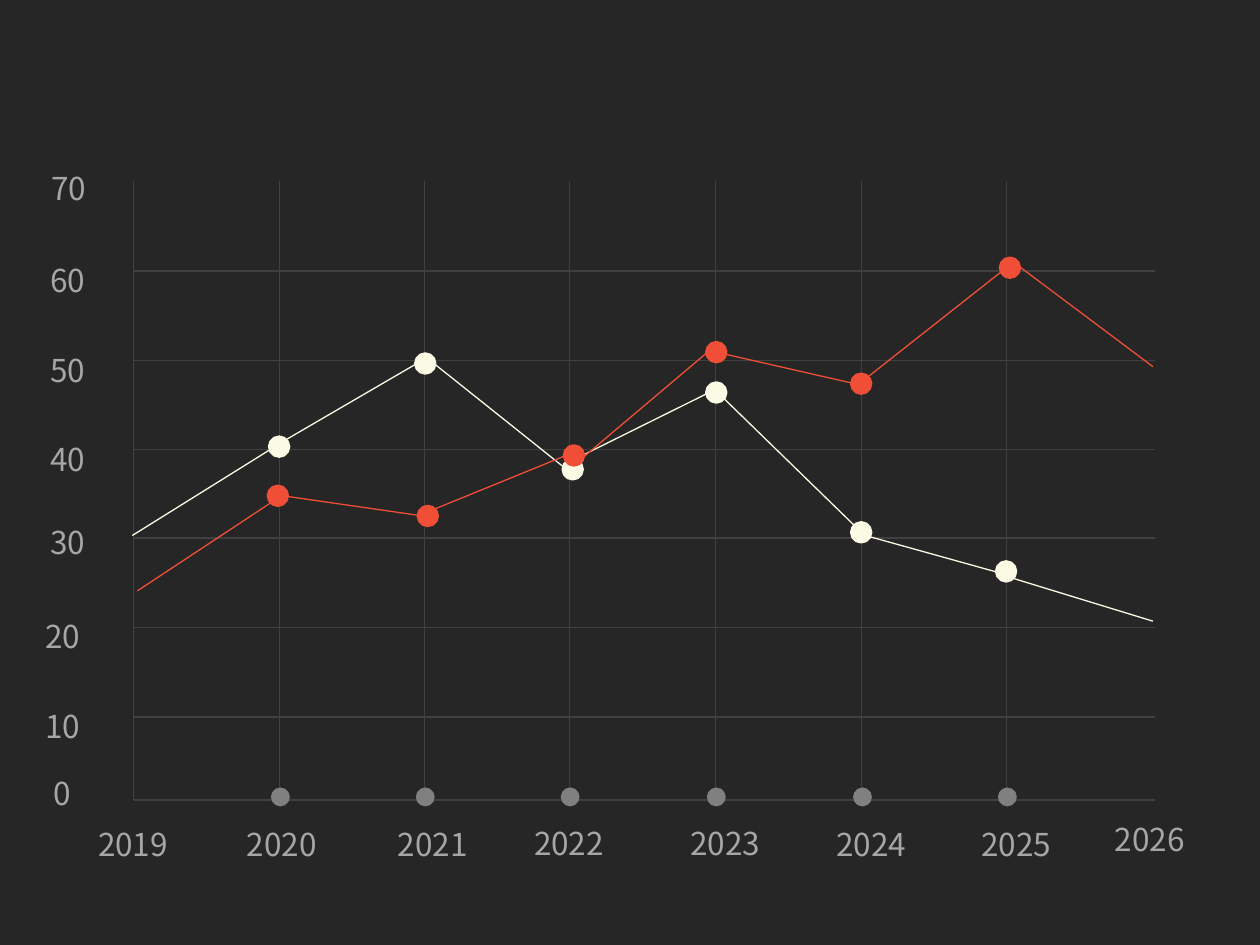
import pptx
import pptx.dml.color
import pptx.enum.shapes
import pptx.enum.text
import pptx.oxml
import pptx.util
from lxml import etree

EMU_PER_PX = 9144
FONT = "Noto Sans CJK KR"
COLORS = {
    "background": "262626",
    "grid": "404040",
    "axis_dot": "808080",
    "label": "A6A6A6",
    "cream": "FBFAE5",
    "red": "F14E38",
}

GRID_LEFT, GRID_RIGHT, GRID_TOP, GRID_BOTTOM = 106, 917, 144, 635
COLUMN_XS = [round(106 + 115.5 * index) for index in range(7)]
ROW_YS = [round(215 + 70.8 * index) for index in range(6)]
DOT_SIZE = 15

VALUE_LABELS = [
    ("0", 33, 609), ("10", 26, 556), ("20", 26, 485), ("30", 30, 410),
    ("40", 30, 344), ("50", 30, 274), ("60", 30, 202), ("70", 31, 129),
]
YEAR_LABELS = [
    ("2019", 68, 650), ("2020", 186, 650), ("2021", 306, 650), ("2022", 414, 649),
    ("2023", 538, 649), ("2024", 654, 650), ("2025", 769, 650), ("2026", 875, 646),
]
SERIES = {
    "cream": {
        "dots": [(214, 347), (330, 281), (447, 365), (561, 304), (676, 415), (791, 446)],
        "segments": [
            (105, 425, 227, 349), (227, 349, 330, 289), (345, 289, 449, 372),
            (574, 306, 455, 365), (564, 306, 678, 417), (676, 422, 791, 454),
            (804, 459, 915, 493),
        ],
    },
    "red": {
        "dots": [(213, 386), (332, 402), (448, 354), (561, 272), (676, 297), (794, 205)],
        "segments": [
            (109, 469, 215, 399), (228, 394, 332, 409), (345, 404, 448, 362),
            (464, 362, 561, 280), (575, 281, 676, 304), (689, 299, 807, 206),
            (807, 210, 915, 291),
        ],
    },
}


def px(length):
    return pptx.util.Emu(length * EMU_PER_PX)


def rgb(name):
    return pptx.dml.color.RGBColor.from_string(COLORS[name])


def add_line(slide, x1, y1, x2, y2, color):
    connector = slide.shapes.add_connector(
        pptx.enum.shapes.MSO_CONNECTOR.STRAIGHT, px(x1), px(y1), px(x2), px(y2)
    )
    connector.line.color.rgb = rgb(color)
    connector.line.width = pptx.util.Pt(0.75)
    etree.SubElement(connector._element.spPr, pptx.oxml.ns.qn("a:effectLst"))


def add_dot(slide, left, top, color, outlined=False):
    dot = slide.shapes.add_shape(
        pptx.enum.shapes.MSO_SHAPE.OVAL, px(left), px(top), px(DOT_SIZE), px(DOT_SIZE)
    )
    dot.shadow.inherit = False
    dot.fill.solid()
    dot.fill.fore_color.rgb = rgb(color)
    if outlined:
        dot.line.color.rgb = rgb(color)
        dot.line.width = pptx.util.Pt(2)
    else:
        dot.line.fill.background()


def add_text(slide, text, left, top, width=90, height=40, size=18, color="label"):
    box = slide.shapes.add_textbox(px(left), px(top), px(width), px(height))
    frame = box.text_frame
    frame.word_wrap = True
    frame.auto_size = pptx.enum.text.MSO_AUTO_SIZE.SHAPE_TO_FIT_TEXT
    run = frame.paragraphs[0].add_run()
    run.text = text
    run.font.name = FONT
    run.font.size = pptx.util.Pt(size)
    run.font.color.rgb = rgb(color)
    east_asian = etree.SubElement(run._r.get_or_add_rPr(), pptx.oxml.ns.qn("a:ea"))
    east_asian.set("typeface", FONT)


def add_grid(slide):
    for x in COLUMN_XS:
        add_line(slide, x, GRID_TOP, x, GRID_BOTTOM, "grid")
    for y in ROW_YS + [GRID_BOTTOM]:
        add_line(slide, GRID_LEFT, y, GRID_RIGHT, y, "grid")
    for x in COLUMN_XS[1:]:
        add_dot(slide, x - DOT_SIZE // 2, 625, "axis_dot")


def add_series(slide, color, dots, segments):
    for left, top in dots:
        add_dot(slide, left, top, color, outlined=True)
    for segment in segments:
        add_line(slide, *segment, color)


def main():
    presentation = pptx.Presentation()
    presentation.slide_width = px(1000)
    presentation.slide_height = px(750)
    slide = presentation.slides.add_slide(presentation.slide_layouts[6])
    slide.background.fill.solid()
    slide.background.fill.fore_color.rgb = rgb("background")

    add_grid(slide)
    for text, left, top in VALUE_LABELS:
        add_text(slide, text, left, top, width=60)
    for color, series in SERIES.items():
        add_series(slide, color, **series)
    for text, left, top in YEAR_LABELS:
        add_text(slide, text, left, top)

    presentation.save("out.pptx")


if __name__ == "__main__":
    main()
